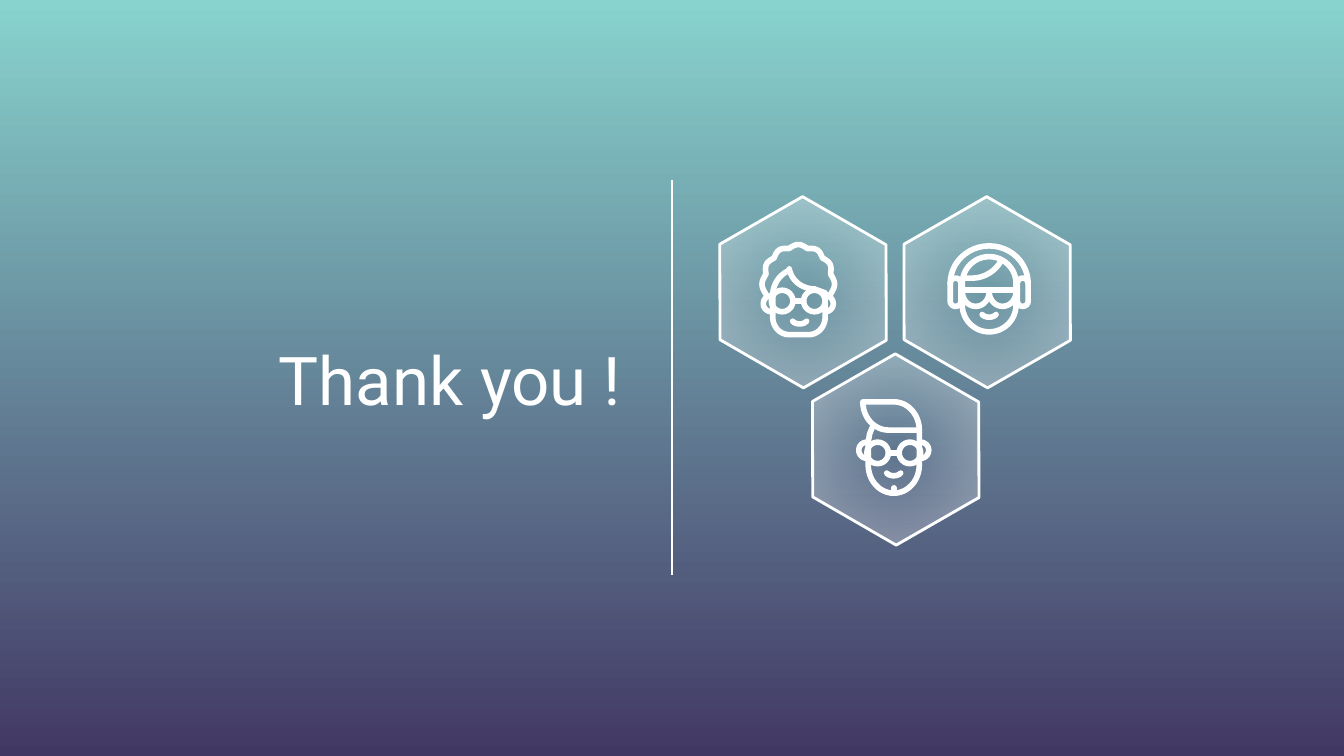
from math import cos, hypot, pi, radians, sin

from lxml.etree import SubElement
from pptx import Presentation
from pptx.dml.color import RGBColor
from pptx.enum.shapes import MSO_CONNECTOR, MSO_SHAPE
from pptx.enum.text import MSO_ANCHOR, PP_ALIGN
from pptx.oxml.ns import qn
from pptx.util import Inches, Pt

COLORS = {"top": "88D3CE", "bottom": "423864", "white": "FFFFFF"}


def arc(x, y, radius_x, radius_y, start=0, end=360, steps=24):
    angles = [radians(start + (end - start) * i / steps) for i in range(steps + 1)]
    return [(x + radius_x * cos(a), y + radius_y * sin(a)) for a in angles]


def scallops(knots, bulge, steps=8):
    points = [knots[0]]
    for (x1, y1), (x2, y2) in zip(knots, knots[1:]):
        dx, dy = x2 - x1, y2 - y1
        length = hypot(dx, dy)
        for i in range(1, steps + 1):
            t = i / steps
            lift = bulge * sin(pi * t) / length
            points.append((x1 + dx * t + dy * lift, y1 + dy * t - dx * lift))
    return points


def round_glasses(center, y):
    return [
        arc(center - 0.12, y, 0.08, 0.08),
        arc(center + 0.12, y, 0.08, 0.08),
        [(center - 0.04, y), (center + 0.04, y)],
    ]


def ears(center, y):
    return [
        arc(center - 0.2, y, 0.06, 0.06, 270, 90),
        arc(center + 0.2, y, 0.06, 0.06, -90, 90),
    ]


def curly_face():
    center = 5.94
    half_curls = [(0.24, 2.19), (0.24, 2.04), (0.18, 1.92), (0.07, 1.85)]
    knots = [(center - x, y) for x, y in half_curls]
    knots += [(center + x, y) for x, y in reversed(half_curls)]
    jaw = arc(5.87, 2.36, 0.12, 0.13, 180, 90) + arc(6.02, 2.36, 0.12, 0.13, 90, 0)
    return round_glasses(center, 2.24) + ears(center, 2.26) + [
        scallops(knots, 0.03),
        [(5.75, 2.2)] + jaw + [(6.14, 2.2)],
        arc(5.94, 2.2, 0.19, 0.2, 180, 248)
        + arc(6.06, 1.97, 0.19, 0.18, 170, 90)
        + [(6.14, 2.18)],
    ]


def headphone_face():
    center = 7.36
    cups = [
        arc(x, 2.11, 0.04, 0.04, 180, 360) + arc(x, 2.24, 0.04, 0.04, 0, 180) + [(x - 0.04, 2.11)]
        for x in (center - 0.25, center + 0.25)
    ]
    lenses = [arc(x, 2.17, 0.1, 0.11, 180, 0) for x in (center - 0.1, center + 0.1)]
    head = arc(center, 2.11, 0.2, 0.2, 180, 360) + arc(center, 2.27, 0.2, 0.2, 0, 180)
    return cups + lenses + [
        arc(center, 2.11, 0.29, 0.28, 180, 360),
        head + [head[0]],
        [(center - 0.2, 2.16), (center + 0.2, 2.16)],
        [(7.17, 2.07)] + arc(7.23, 1.82, 0.25, 0.25, 90, 30),
    ]


def quiff_face():
    center = 6.65
    quiff = arc(6.65, 3.2, 0.19, 0.21, 270, 360) + arc(6.61, 2.99, 0.19, 0.21, 90, 180)
    jaw = arc(center, 3.46, 0.19, 0.21, 180, 0)
    return round_glasses(center, 3.37) + ears(center, 3.35) + [
        quiff + [quiff[0]],
        [(6.49, 3.18), (6.47, 3.23), (6.46, 3.29)] + jaw + [(6.84, 3.2)],
        [(center, 3.63), (center, 3.67)],
    ]


class SlideBuilder:
    font = "Roboto"

    def __init__(self, deck):
        self.page = deck.slides.add_slide(deck.slide_layouts[5])

    def color(self, name):
        return RGBColor.from_string(COLORS[name])

    def background(self):
        fill = self.page.background.fill
        fill.gradient()
        fill.gradient_angle = 270
        for stop, name in zip(fill.gradient_stops, ("top", "bottom")):
            stop.color.rgb = self.color(name)

    def stroke(self, shape, width):
        shape.line.color.rgb = self.color("white")
        shape.line.width = Pt(width)

    def title(self, text, left, top, width, height):
        box = self.page.shapes.title
        box.left, box.top = Inches(left), Inches(top)
        box.width, box.height = Inches(width), Inches(height)
        frame = box.text_frame
        frame.text = text
        frame.word_wrap = True
        frame.vertical_anchor = MSO_ANCHOR.MIDDLE
        frame.margin_left = frame.margin_right = Inches(0.1)
        frame.margin_top = frame.margin_bottom = Inches(0.1)
        para = frame.paragraphs[0]
        para.alignment = PP_ALIGN.RIGHT
        span = para.runs[0]
        span.font.name = self.font
        span.font.size = Pt(36)
        span.font.color.rgb = self.color("white")

    def divider(self, x, top, bottom):
        line = self.page.shapes.add_connector(
            MSO_CONNECTOR.STRAIGHT, Inches(x), Inches(top), Inches(x), Inches(bottom)
        )
        self.stroke(line, 1.5)
        SubElement(line._element.spPr, qn("a:effectLst"))

    def hexagon(self, left, top):
        shape = self.page.shapes.add_shape(
            MSO_SHAPE.HEXAGON, Inches(left), Inches(top), Inches(1.43), Inches(1.23)
        )
        shape.adjustments[0] = 0.29
        shape.rotation = 30
        shape.shadow.inherit = False
        self.stroke(shape, 1.5)
        shape.fill.gradient()
        for stop in shape.fill.gradient_stops:
            stop.color.rgb = self.color("white")
        gradient = shape._element.spPr.find(qn("a:gradFill"))
        for color, alpha in zip(gradient.iter(qn("a:srgbClr")), (0, 39)):
            SubElement(color, qn("a:alpha"), val=str(alpha * 1000))
        gradient.remove(gradient.find(qn("a:lin")))
        circle = SubElement(gradient, qn("a:path"), path="circle")
        SubElement(circle, qn("a:fillToRect"), l="50000", t="50000", r="50000", b="50000")

    def drawing(self, contours):
        contours = [[(Inches(x), Inches(y)) for x, y in points] for points in contours]
        builder = self.page.shapes.build_freeform(*contours[0][0])
        for index, points in enumerate(contours):
            if index:
                builder.move_to(*points[0])
            builder.add_line_segments(points[1:], close=False)
        shape = builder.convert_to_shape()
        shape.shadow.inherit = False
        shape.fill.background()
        self.stroke(shape, 3)
        shape._element.spPr.find(qn("a:ln")).set("cap", "rnd")

    def smile(self, x, y):
        self.drawing([arc(x, y, 0.06, 0.04, 150, 30)])


def main():
    deck = Presentation()
    deck.slide_width = Inches(10)
    deck.slide_height = deck.slide_width * 9 // 16
    slide = SlideBuilder(deck)
    slide.background()
    slide.divider(5, 1.34, 4.28)
    slide.title("Thank you !", 0.39, 2.45, 4.33, 0.73)
    for left, top in ((5.26, 1.56), (6.63, 1.56), (5.95, 2.73)):
        slide.hexagon(left, top)
    faces = (
        (quiff_face(), 6.65, 3.5),
        (curly_face(), 5.95, 2.37),
        (headphone_face(), 7.36, 2.32),
    )
    for contours, smile_x, smile_y in faces:
        slide.smile(smile_x, smile_y)
        slide.drawing(contours)
    deck.save("out.pptx")


if __name__ == "__main__":
    main()
